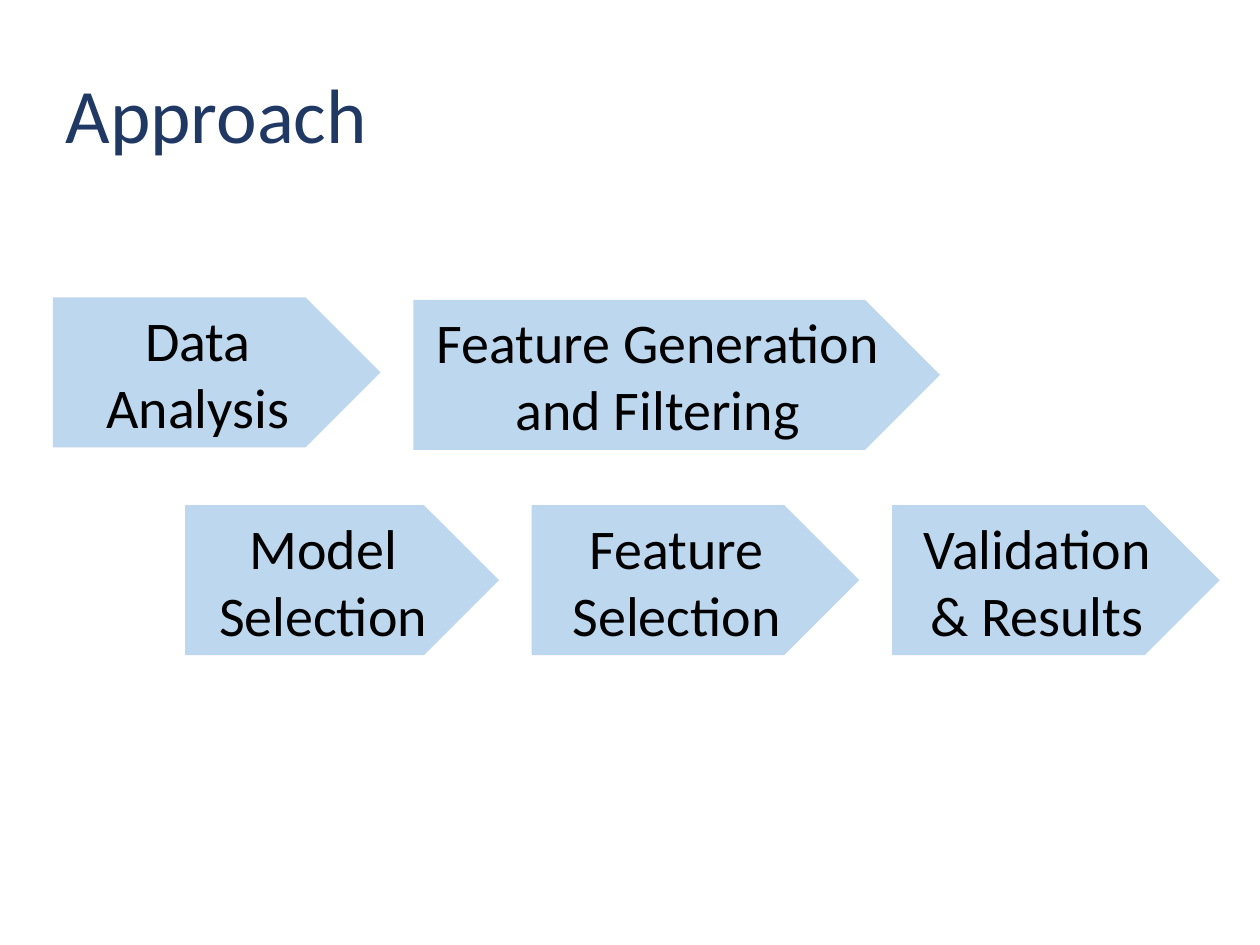
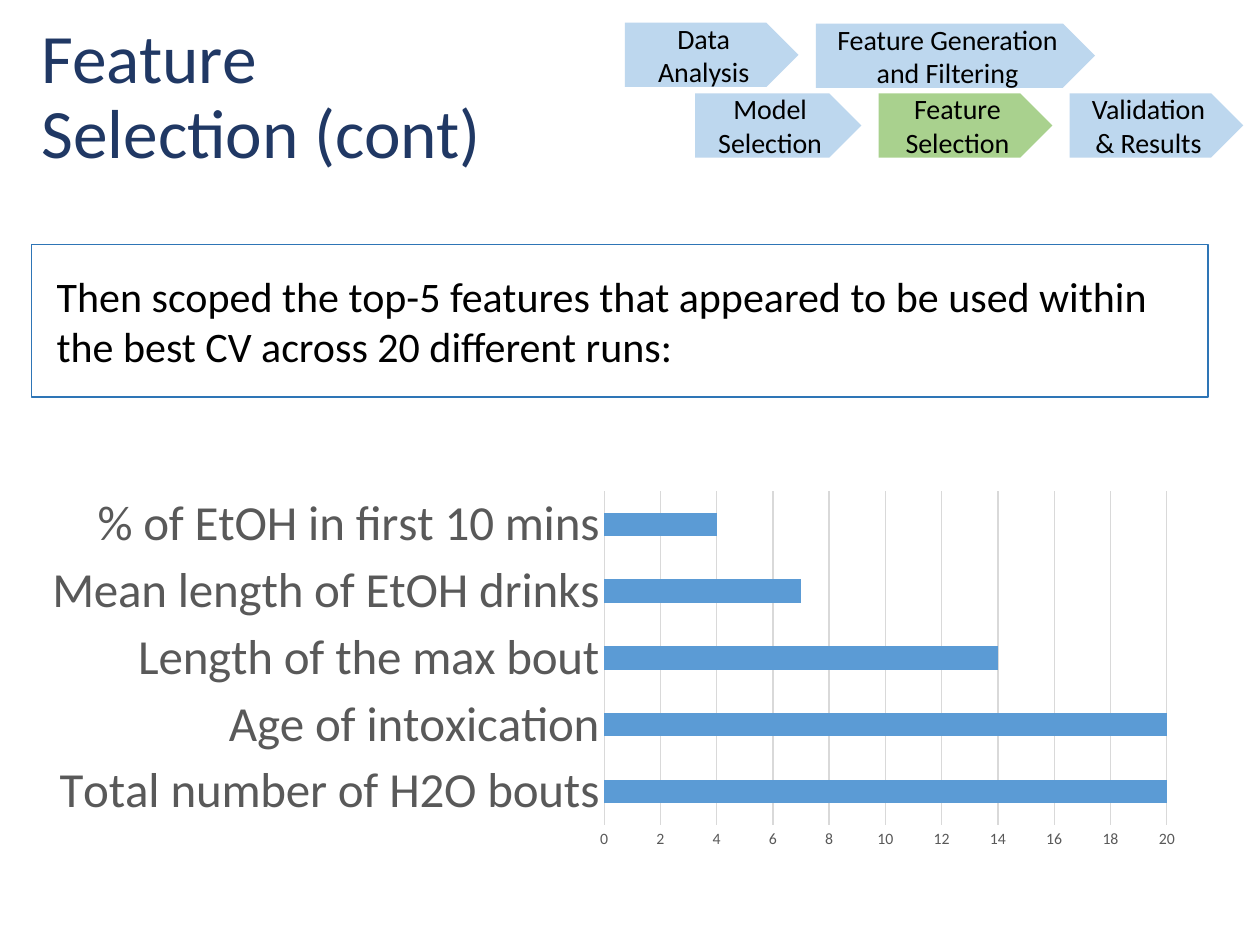
import pptx
import pptx.chart.data
import pptx.dml.color
import pptx.enum.chart
import pptx.enum.shapes
import pptx.enum.text
import pptx.util

Inches = pptx.util.Inches
Pt = pptx.util.Pt
RGBColor = pptx.dml.color.RGBColor
Shape = pptx.enum.shapes.MSO_SHAPE
Align = pptx.enum.text.PP_ALIGN
Anchor = pptx.enum.text.MSO_ANCHOR
Tick = pptx.enum.chart.XL_TICK_MARK

# Shared look
FONT = "Calibri"
NAVY = RGBColor(0x20, 0x38, 0x64)
PALE = RGBColor(0xBD, 0xD7, 0xEE)
GREEN = RGBColor(0xA9, 0xD1, 0x8E)
BLUE = RGBColor(0x5B, 0x9B, 0xD5)
EDGE = RGBColor(0x2E, 0x75, 0xB6)
GRAY = RGBColor(0x59, 0x59, 0x59)
RULE = RGBColor(0xD9, 0xD9, 0xD9)
BLACK = RGBColor(0, 0, 0)
WHITE = RGBColor(255, 255, 255)

# Steps of the approach: label, left, top, width
STEPS = [
    ("Feature Generation and Filtering", 3.28, 2.38, 4.18),
    ("Model Selection", 1.47, 4.01, 2.49),
    ("Feature Selection", 4.22, 4.01, 2.6),
    ("Validation & Results", 7.08, 4.01, 2.6),
    ("Data Analysis", 0.42, 2.36, 2.6),
]
LEFT, TOP = 0.42, 2.36

deck = pptx.Presentation()
deck.slide_width = Inches(10)
deck.slide_height = Inches(7.5)


def style(font, size, color):
    font.name = FONT
    font.size = Pt(size)
    font.color.rgb = color


def add_step(shapes, label, box, size, fill):
    step = shapes.add_shape(Shape.PENTAGON, *map(Inches, box))
    step.shadow.inherit = False
    step.fill.solid()
    step.fill.fore_color.rgb = fill
    step.line.fill.background()
    frame = step.text_frame
    frame.text = label
    frame.word_wrap = True
    frame.vertical_anchor = Anchor.MIDDLE
    frame.paragraphs[0].alignment = Align.CENTER
    style(frame.paragraphs[0].runs[0].font, size, BLACK)


# Titles and step arrows: title, its corner and size, then the
# corner, x, y and height scales, text size and active step of the arrows
PAGES = [
    ("Approach", 0.42, 0.34, 44, LEFT, TOP, 1, 1, 1.19, 32, None),
    ("Feature\vSelection (cont)", 0.23, 0.18, 39.6,
     4.96, 0.18, 0.53, 0.34, 0.51, 16, "Feature Selection"),
]
for text, x, y, size, left, top, wide, tall, high, small, active in PAGES:
    slide = deck.slides.add_slide(deck.slide_layouts[5])
    title = slide.shapes.title
    title.left, title.top = Inches(x), Inches(y)
    title.width, title.height = Inches(8.62), Inches(1.2)
    frame = title.text_frame
    frame.text = text
    frame.auto_size = pptx.enum.text.MSO_AUTO_SIZE.NONE
    frame.vertical_anchor = Anchor.MIDDLE
    para = frame.paragraphs[0]
    para.alignment = Align.LEFT
    para.line_spacing = 0.9
    for run in para.runs:
        style(run.font, size, NAVY)

    group = slide.shapes.add_group_shape()
    for label, across, down, width in STEPS:
        box = (left + (across - LEFT) * wide, top + (down - TOP) * tall,
               width * wide, high)
        add_step(group.shapes, label, box, small,
                 GREEN if label == active else PALE)

# Chart of feature use, on the last slide
data = pptx.chart.data.CategoryChartData()
data.categories = [
    "Total number of H2O bouts", "Age of intoxication",
    "Length of the max bout", "Mean length of EtOH drinks",
    "% of EtOH in first 10 mins",
]
data.add_series("Series 1", (20, 20, 14, 7, 4))
chart = slide.shapes.add_chart(
    pptx.enum.chart.XL_CHART_TYPE.BAR_CLUSTERED,
    Inches(0.23), Inches(3.84), Inches(9.28), Inches(2.95), data).chart
chart.has_title = False
chart.has_legend = False
style(chart.font, 10, BLACK)

plot = chart.plots[0]
plot.gap_width = 182
plot.vary_by_categories = False
bars = plot.series[0].format.fill
bars.solid()
bars.fore_color.rgb = BLUE

cats, vals = chart.category_axis, chart.value_axis
for axis, size in ((cats, 28), (vals, 9)):
    axis.major_tick_mark = axis.minor_tick_mark = Tick.NONE
    style(axis.tick_labels.font, size, GRAY)
vals.minimum_scale, vals.maximum_scale, vals.major_unit = 0, 20, 2
vals.format.line.fill.background()
vals.has_major_gridlines = True
for line in (cats.format.line, vals.major_gridlines.format.line):
    line.color.rgb = RULE
    line.width = Pt(0.75)

# Framed statement
note = slide.shapes.add_shape(
    Shape.RECTANGLE, Inches(0.25), Inches(1.94), Inches(9.34), Inches(1.21))
note.shadow.inherit = False
note.fill.solid()
note.fill.fore_color.rgb = WHITE
note.line.color.rgb = EDGE
note.line.width = Pt(1)
frame = note.text_frame
frame.text = ("Then scoped the top-5 features that appeared to be used "
              "within the best CV across 20 different runs:")
frame.word_wrap = True
frame.vertical_anchor = Anchor.MIDDLE
frame.margin_left = frame.margin_right = Inches(0.2)
frame.margin_top = frame.margin_bottom = Inches(0.2)
para = frame.paragraphs[0]
para.alignment = Align.LEFT
para.space_before = Pt(12)
style(para.runs[0].font, 24, BLACK)

deck.save("out.pptx")
